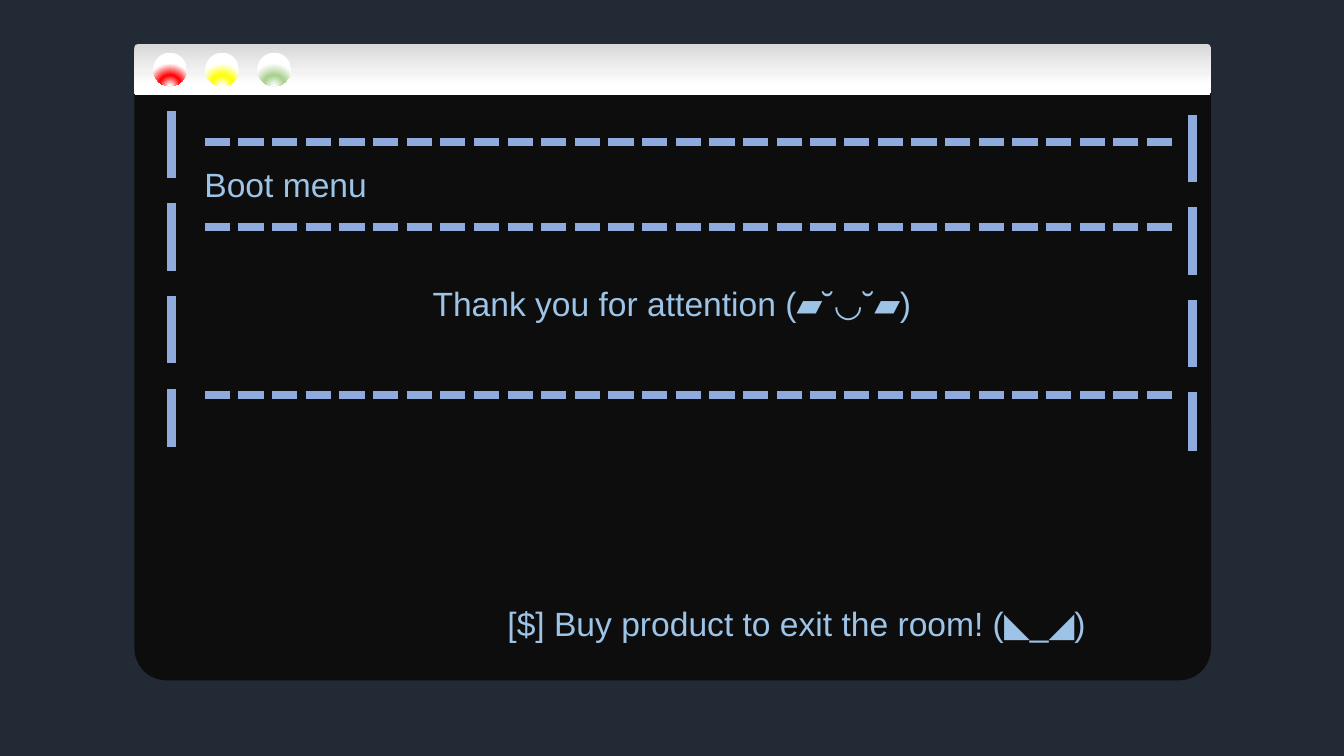
from dataclasses import dataclass

from lxml.etree import SubElement
from pptx import Presentation
from pptx.dml.color import RGBColor
from pptx.enum.dml import MSO_LINE
from pptx.enum.shapes import MSO_CONNECTOR, MSO_SHAPE
from pptx.enum.text import MSO_ANCHOR, MSO_AUTO_SIZE, PP_ALIGN
from pptx.oxml import parse_xml
from pptx.oxml.ns import nsdecls, qn
from pptx.shapes.autoshape import Shape
from pptx.slide import Slide
from pptx.util import Pt

NAVY = RGBColor(0x22, 0x2A, 0x35)
BLACK = RGBColor(0x0D, 0x0D, 0x0D)
WHITE = RGBColor(0xFF, 0xFF, 0xFF)
SILVER = RGBColor(0xD9, 0xD9, 0xD9)
PALE_GREY = RGBColor(0xF2, 0xF2, 0xF2)
RED = RGBColor(0xFF, 0x00, 0x00)
YELLOW = RGBColor(0xFF, 0xFF, 0x00)
GREEN = RGBColor(0xA9, 0xD1, 0x8E)
DASH_BLUE = RGBColor(0x8F, 0xAA, 0xDC)
TEXT_BLUE = RGBColor(0x9D, 0xC3, 0xE6)

LINEAR_DOWN = '<a:lin ang="5400000" scaled="0"/>'
GLOW_FROM_BELOW = ('<a:path path="circle">'
                   '<a:fillToRect l="50000" t="130000" r="50000" b="-30000"/></a:path>')
WINDOW_LEFT, WINDOW_WIDTH = 96, 769
BUTTON_LEFT, BUTTON_PITCH, BUTTON_SIZE = 109.4, 37.2, 24


@dataclass(frozen=True)
class Box:
    left: float
    top: float
    width: float
    height: float

    def lengths(self) -> tuple[Pt, Pt, Pt, Pt]:
        return Pt(self.left), Pt(self.top), Pt(self.width), Pt(self.height)


@dataclass(frozen=True)
class Gradient:
    stops: tuple[tuple[int, RGBColor], ...]
    direction: str


@dataclass(frozen=True)
class Rule:
    x1: float
    y1: float
    x2: float
    y2: float
    dash: MSO_LINE


BAR_FILL = Gradient(((4, SILVER), (52, PALE_GREY), (82, WHITE), (98, WHITE)), LINEAR_DOWN)
RULES = [Rule(146.2, y, 840.2, y, MSO_LINE.SQUARE_DOT) for y in (101.6, 162, 282)]
RULES += [Rule(x, y, x, y + 240, MSO_LINE.LONG_DASH) for x, y in ((122.4, 79.2), (851.8, 82))]


def add_filled(s: Slide, kind: MSO_SHAPE, box: Box, fill: RGBColor | Gradient,
               corner: float | None = None) -> None:
    sp = s.shapes.add_shape(kind, *box.lengths())
    sp.shadow.inherit = False
    sp.line.fill.background()
    if corner is not None:
        sp.adjustments[0] = corner
    if isinstance(fill, RGBColor):
        sp.fill.solid()
        sp.fill.fore_color.rgb = fill
    else:
        set_gradient(sp, fill)


def set_gradient(sp: Shape, gradient: Gradient) -> None:
    stops = "".join(f'<a:gs pos="{pos * 1000}"><a:srgbClr val="{color}"/></a:gs>'
                    for pos, color in gradient.stops)
    geometry = sp._element.spPr.find(qn("a:prstGeom"))
    geometry.addnext(parse_xml(
        f'<a:gradFill {nsdecls("a")} rotWithShape="1"><a:gsLst>{stops}</a:gsLst>'
        f'{gradient.direction}</a:gradFill>'))


def add_rule(s: Slide, rule: Rule) -> None:
    line = s.shapes.add_connector(MSO_CONNECTOR.STRAIGHT, Pt(rule.x1), Pt(rule.y1),
                                  Pt(rule.x2), Pt(rule.y2))
    line.line.color.rgb = DASH_BLUE
    line.line.width = Pt(6)
    line.line.dash_style = rule.dash
    SubElement(line._element.spPr, qn("a:effectLst"))


def write_line(sp: Shape, text: str, align: PP_ALIGN) -> None:
    tf = sp.text_frame
    tf.word_wrap = True
    tf.auto_size = MSO_AUTO_SIZE.NONE
    tf.vertical_anchor = MSO_ANCHOR.TOP
    tf.margin_left = tf.margin_right = tf.margin_top = tf.margin_bottom = Pt(0)
    p = tf.paragraphs[0]
    p.alignment = align
    r = p.add_run()
    r.text = text
    r.font.name = "Arial"
    r.font.size = Pt(24)
    r.font.color.rgb = TEXT_BLUE


def add_title(s: Slide, text: str, box: Box) -> None:
    """Fill the title placeholder and bring it in front of the window."""
    title = s.shapes.title
    title.left, title.top, title.width, title.height = box.lengths()
    write_line(title, text, PP_ALIGN.LEFT)
    s.shapes._spTree.append(title._element)


def add_message(s: Slide, text: str, box: Box) -> None:
    write_line(s.shapes.add_textbox(*box.lengths()), text, PP_ALIGN.CENTER)


def main() -> None:
    prs = Presentation()
    prs.slide_width, prs.slide_height = Pt(960), Pt(540)
    s = prs.slides.add_slide(prs.slide_layouts.get_by_name("Title Only"))
    s.background.fill.solid()
    s.background.fill.fore_color.rgb = NAVY

    add_filled(s, MSO_SHAPE.ROUNDED_RECTANGLE, Box(WINDOW_LEFT, 46, WINDOW_WIDTH, 440),
               BLACK, 0.052)
    add_filled(s, MSO_SHAPE.ROUNDED_RECTANGLE, Box(WINDOW_LEFT, 31.6, WINDOW_WIDTH, 36.2),
               BAR_FILL, 0.062)
    for i, color in enumerate((RED, YELLOW, GREEN)):
        add_filled(s, MSO_SHAPE.OVAL,
                   Box(BUTTON_LEFT + i * BUTTON_PITCH, 37.6, BUTTON_SIZE, BUTTON_SIZE),
                   Gradient(((4, WHITE), (46, color), (95, WHITE)), GLOW_FROM_BELOW))

    for rule in RULES:
        add_rule(s, rule)
    add_title(s, "Boot menu", Box(146, 117, 690, 30))
    add_message(s, "Thank you for attention (▰˘◡˘▰)", Box(146, 202, 668, 30))
    add_message(s, "[$] Buy product to exit the room! (◣_◢)", Box(319, 431, 500, 30))
    prs.save("out.pptx")


if __name__ == "__main__":
    main()
